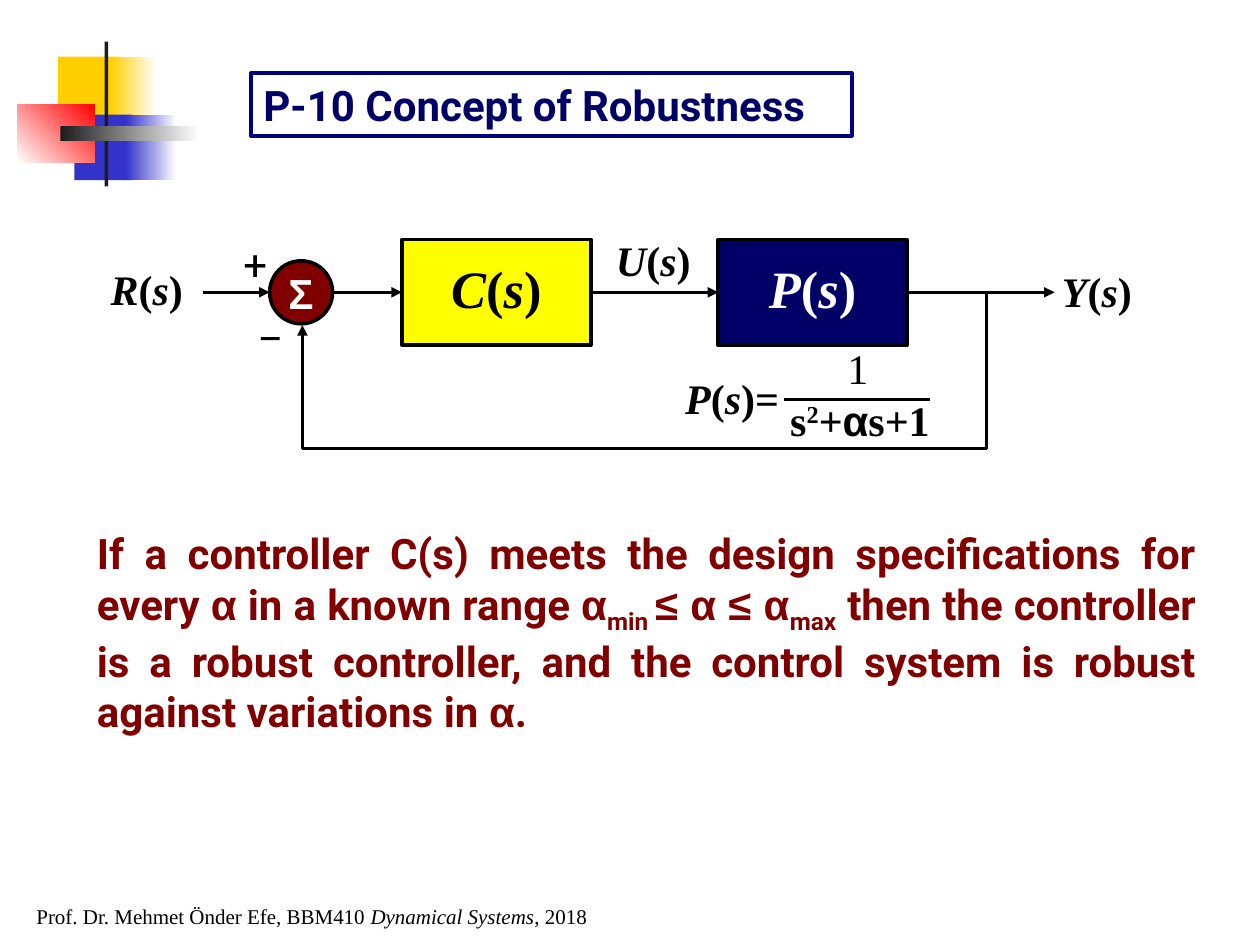
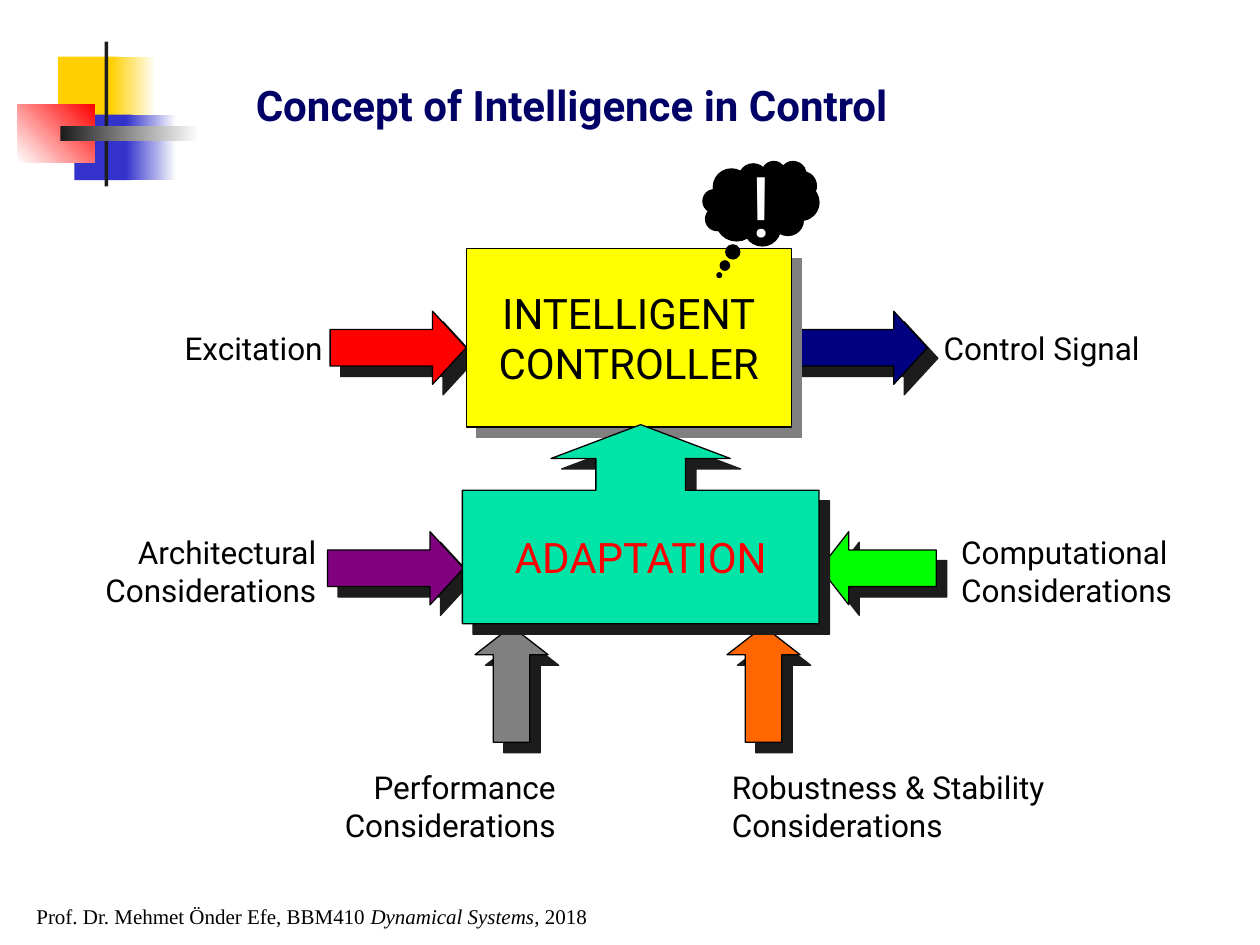
from itertools import groupby
from lxml.etree import SubElement
from pptx import Presentation
from pptx.dml.color import RGBColor
from pptx.enum.shapes import MSO_CONNECTOR, MSO_SHAPE as SHAPE
from pptx.enum.text import MSO_ANCHOR as ANCHOR, MSO_AUTO_SIZE as AUTO, PP_ALIGN as ALIGN
from pptx.oxml.ns import qn
from pptx.util import Inches, Pt

C = {
    "black": "000000", "white": "FFFFFF", "ink": "1C1C1C", "gray": "808080",
    "navy": "000066", "blue": "000080", "maroon": "800000", "yellow": "FFFF00",
    "red": "FF0000", "purple": "800080", "green": "00FF00", "orange": "FF6600",
    "mint": "00E4A8", "gold": "FFCF01", "indigo": "3333CC",
}
SERIF, SANS, SYMBOL = "Times New Roman", "Roboto", "Arial"


def write(tf, text, size=24, font=SANS, color="black", bold=False, italic=False,
          align=ALIGN.LEFT, anchor=ANCHOR.TOP, wrap=False, math=False):
    tf.auto_size = AUTO.NONE
    tf.word_wrap = wrap
    tf.vertical_anchor = anchor
    tf.margin_left = tf.margin_right = Inches(0.1)
    tf.margin_top = tf.margin_bottom = Inches(0.05)
    if math:
        text = [("".join(part), {"italic": letter}) for letter, part in groupby(text, str.isalpha)]
    elif isinstance(text, str):
        text = [(text, {})]
    p = tf.paragraphs[0]
    p.alignment = align
    for words, change in text:
        for i, line in enumerate(words.split("\n")):
            if i:
                p.add_line_break()
            r = p.add_run()
            r.text = line
            r.font.size = Pt(size)
            r.font.name = change.get("font", font)
            r.font.bold = bold
            r.font.italic = change.get("italic", italic)
            r.font.color.rgb = RGBColor.from_string(C[color])
            if "base" in change:
                r._r.get_or_add_rPr().set("baseline", str(change["base"] * 1000))


def add_box(s, preset, at, fill, line=None, adj=(), shadow=None):
    sp = s.shapes.add_shape(preset, *map(Inches, at))
    sp.shadow.inherit = False
    if isinstance(fill, tuple):
        start, end, angle = fill
        sp.fill.gradient()
        sp.fill.gradient_angle = angle
        for stop, name in zip(sp.fill.gradient_stops, (start, end)):
            stop.color.rgb = RGBColor.from_string(C[name])
    else:
        sp.fill.solid()
        sp.fill.fore_color.rgb = RGBColor.from_string(C[fill])
    if line:
        sp.line.color.rgb = RGBColor.from_string(C["black"])
        sp.line.width = Pt(line)
    else:
        sp.line.fill.background()
    for i, value in enumerate(adj):
        sp.adjustments[i] = value
    if shadow:
        effects = sp._element.spPr.find(qn("a:effectLst"))
        drop = SubElement(effects, qn("a:outerShdw"), dist=str(Pt(8.5)),
                          dir="2700000", algn="ctr", rotWithShape="0")
        SubElement(drop, qn("a:srgbClr"), val=C[shadow])
    return sp


prs = Presentation()
prs.slide_width, prs.slide_height = Inches(10), Inches(7.5)

slides = []
for title, at in [
    ("P-10 Concept of Robustness", (1.99, 0.58, 4.77, 0.5)),
    ("Concept of Intelligence in Control", (1.93, 0.58, 5.79, 0.5)),
]:
    s = prs.slides.add_slide(prs.slide_layouts[5])
    for at_band, fill in [
        ((0.46, 0.45, 0.48, 0.52), "gold"),
        ((0.88, 0.45, 0.36, 0.52), ("gold", "white", 0)),
        ((0.59, 0.91, 0.46, 0.52), "indigo"),
        ((1, 0.91, 0.4, 0.52), ("indigo", "white", 0)),
        ((0.14, 0.83, 0.61, 0.46), ("white", "red", 45)),
        ((0.83, 0.33, 0.03, 1.15), "ink"),
        ((0.48, 1, 1.1, 0.12), ("ink", "white", 0)),
    ]:
        add_box(s, SHAPE.RECTANGLE, at_band, fill)
    footer = s.shapes.add_textbox(*map(Inches, (0.19, 7.12, 4.58, 0.3)))
    write(footer.text_frame,
          [("Prof. Dr. Mehmet Önder Efe, BBM410 ", {}),
           ("Dynamical Systems", {"italic": True}), (", 2018", {})],
          size=12, font=SERIF)
    sp = s.shapes.title
    sp.left, sp.top, sp.width, sp.height = map(Inches, at)
    write(sp.text_frame, title, color="navy", bold=True, wrap=True)
    slides.append(s)

s, s2 = slides

frame = s.shapes.title.line
frame.color.rgb = RGBColor.from_string(C["blue"])
frame.width = Pt(2)

adder = add_box(s, SHAPE.OVAL, (2.14, 2.07, 0.5, 0.5), "maroon", line=2)
write(adder.text_frame, "Σ", font=SYMBOL, color="white", bold=True,
      align=ALIGN.CENTER, anchor=ANCHOR.MIDDLE)

blocks = []
for name, x, fill, color in [("C(s)", 3.19, "yellow", "black"), ("P(s)", 5.7, "navy", "white")]:
    sp = add_box(s, SHAPE.RECTANGLE, (x, 1.9, 1.5, 0.84), fill, line=2)
    write(sp.text_frame, name, size=30, font=SERIF, color=color, bold=True, math=True,
          align=ALIGN.CENTER, anchor=ANCHOR.MIDDLE)
    sp.text_frame.margin_bottom = Inches(0.13)
    blocks.append(sp)
controller, plant = blocks

for name, at in [
    ("R(s)", (0.78, 2.04, 0.77, 0.5)),
    ("U(s)", (4.79, 1.81, 0.79, 0.5)),
    ("Y(s)", (8.33, 2.06, 0.75, 0.5)),
    ("P(s)=", (5.34, 2.91, 0.94, 0.5)),
]:
    sp = s.shapes.add_textbox(*map(Inches, at))
    write(sp.text_frame, name, font=SERIF, bold=True, math=True)

for sign, at, font in [
    ("+", (1.83, 1.84, 0.39, 0.5), SANS),
    ("_", (1.97, 2.3, 0.35, 0.5), SANS),
    ("1", (6.63, 2.67, 0.36, 0.5), SERIF),
]:
    sp = s.shapes.add_textbox(*map(Inches, at))
    write(sp.text_frame, sign, font=font, align=ALIGN.CENTER)

denominator = s.shapes.add_textbox(*map(Inches, (6.17, 3.08, 1.31, 0.5)))
write(denominator.text_frame,
      [("s", {}), ("2", {"base": 30}), ("+", {}), ("α", {"font": SYMBOL}), ("s+1", {})],
      font=SERIF, bold=True, align=ALIGN.CENTER)

for start, end, arrow, source, target in [
    ((1.61, 2.32), (2.14, 2.32), True, None, None),
    ((2.64, 2.32), (3.19, 2.32), True, None, controller),
    ((4.69, 2.32), (5.7, 2.32), True, controller, plant),
    ((7.2, 2.32), (8.37, 2.32), True, plant, None),
    ((7.83, 2.32), (7.83, 3.56), False, None, None),
    ((7.83, 3.56), (2.4, 3.56), False, None, None),
    ((2.4, 3.56), (2.4, 2.58), True, None, None),
    ((6.22, 3.17), (7.38, 3.17), False, None, None),
]:
    line = s.shapes.add_connector(MSO_CONNECTOR.STRAIGHT, *map(Inches, start + end))
    if source:
        line.begin_connect(source, 3)
    if target:
        line.end_connect(target, 1)
    line.line.color.rgb = RGBColor.from_string(C["black"])
    line.line.width = Pt(2)
    if arrow:
        SubElement(line.line._get_or_add_ln(), qn("a:tailEnd"), type="triangle")
    SubElement(line._element.spPr, qn("a:effectLst"))

greek = {"font": SYMBOL}
body = s.shapes.add_textbox(*map(Inches, (0.67, 4.14, 8.92, 1.76)))
write(body.text_frame, [
    ("If a controller C(s) meets the design specifications for every ", {}),
    ("α", greek),
    (" in a known range ", {}),
    ("α", greek),
    ("min ", {"base": -25}),
    ("≤ α ≤ α", greek),
    ("max", {"base": -25}),
    (" then the controller is a robust controller, and the control system is robust"
     " against variations in ", {}),
    ("α", greek),
    (".", {}),
], color="maroon", bold=True, align=ALIGN.JUSTIFY, wrap=True)

for preset, at, fill, head in [
    (SHAPE.RIGHT_ARROW, (2.6, 4.22, 1.08, 0.58), "purple", 0.46),
    (SHAPE.RIGHT_ARROW, (2.62, 2.47, 1.08, 0.58), "red", 0.46),
    (SHAPE.RIGHT_ARROW, (6.28, 2.47, 1.08, 0.58), "blue", 0.46),
    (SHAPE.LEFT_ARROW, (6.51, 4.22, 0.92, 0.58), "green", 0.39),
    (SHAPE.UP_ARROW, (3.77, 4.97, 0.58, 0.92), "gray", 0.39),
    (SHAPE.UP_ARROW, (5.77, 4.97, 0.58, 0.92), "orange", 0.39),
]:
    add_box(s2, preset, at, fill, line=0.75, adj=(0.5, head), shadow="ink")

for name, preset, at, fill, color, adj, shadow in [
    ("INTELLIGENT\nCONTROLLER", SHAPE.RECTANGLE, (3.7, 1.97, 2.58, 1.42),
     "yellow", "black", (), "gray"),
    ("ADAPTATION", SHAPE.UP_ARROW_CALLOUT, (3.67, 3.37, 2.83, 1.58),
     "mint", "red", (0.45, 0.45, 0.17, 0.67), "ink"),
]:
    sp = add_box(s2, preset, at, fill, line=0.75, adj=adj, shadow=shadow)
    write(sp.text_frame, name, color=color, align=ALIGN.CENTER, anchor=ANCHOR.MIDDLE)

for label, at, align in [
    ("Excitation", (1.32, 2.56, 1.34, 0.4), ALIGN.RIGHT),
    ("Control Signal", (7.39, 2.56, 1.85, 0.4), ALIGN.LEFT),
    ("Architectural\nConsiderations", (0.65, 4.18, 1.96, 0.7), ALIGN.RIGHT),
    ("Computational\nConsiderations", (7.53, 4.18, 1.96, 0.7), ALIGN.LEFT),
    ("Performance\nConsiderations", (2.55, 6.05, 1.96, 0.7), ALIGN.RIGHT),
    ("Robustness & Stability\nConsiderations", (5.71, 6.05, 2.8, 0.7), ALIGN.LEFT),
]:
    sp = s2.shapes.add_textbox(*map(Inches, at))
    write(sp.text_frame, label, size=18, align=align)

add_box(s2, SHAPE.CLOUD_CALLOUT, (5.58, 1.28, 0.92, 0.67), "black", line=0.75, adj=(-0.36, 0.85))
idea = s2.shapes.add_textbox(*map(Inches, (5.86, 1.17, 0.38, 0.9)))
write(idea.text_frame, "!", size=48, color="white")

prs.save("out.pptx")
